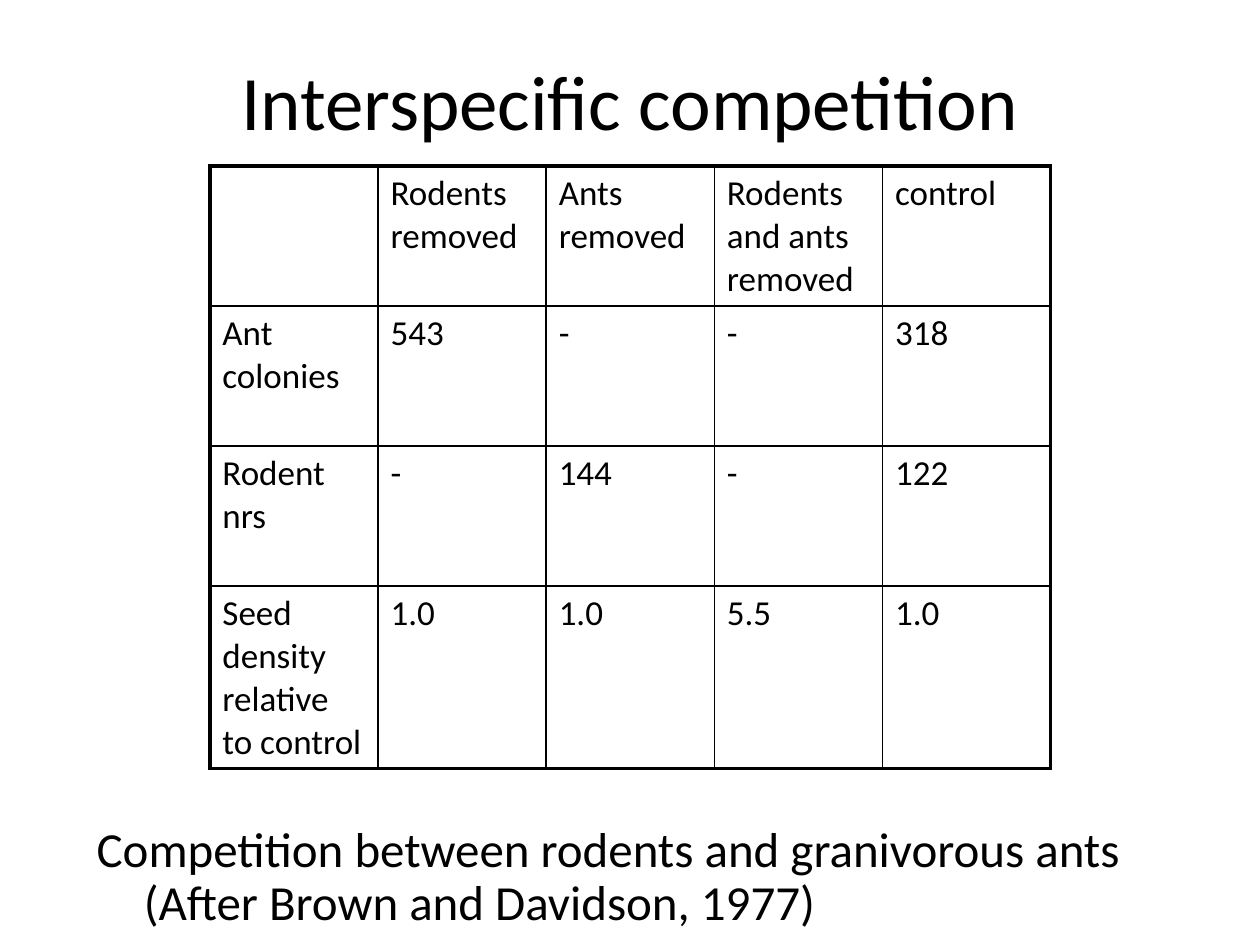
from lxml import etree
from pptx import Presentation
from pptx.dml.color import RGBColor
from pptx.enum import text
from pptx.oxml import ns
from pptx.util import Cm, Pt

BLACK = RGBColor(0, 0, 0)
WHITE = RGBColor(255, 255, 255)
FONT = "Calibri"
THIN, THICK = Pt(1), Pt(2.25)
COLUMN_WIDTH = Cm(3.39)
ROW_HEIGHTS = [Cm(2.82), Cm(2.82), Cm(2.82), Cm(3.68)]
ROWS = [
    ["", "Rodents removed", "Ants removed", "Rodents and ants removed", "control"],
    ["Ant colonies", "543", "-", "-", "318"],
    ["Rodent nrs", "-", "144", "-", "122"],
    ["Seed density relative to control", "1.0", "1.0", "5.5", "1.0"],
]


def add_span(para, words, size):
    span = para.add_run()
    span.text = words
    span.font.name = FONT
    span.font.size = Pt(size)
    span.font.color.rgb = BLACK


def add_text(page, words, size, left, top, width, height):
    box = page.shapes.add_textbox(left, top, width, height)
    box.text_frame.word_wrap = True
    para = box.text_frame.paragraphs[0]
    add_span(para, words, size)
    return box.text_frame, para


def add_title(page):
    frame, para = add_text(page, "Interspecific competition", 44,
                           Cm(1.9), Cm(0.43), Cm(21.6), Cm(3.18))
    frame.vertical_anchor = text.MSO_ANCHOR.MIDDLE
    para.alignment = text.PP_ALIGN.CENTER


def add_caption(page):
    words = "Competition between rodents and granivorous ants (After Brown and Davidson, 1977)"
    frame, para = add_text(page, words, 28, Cm(1.7), Cm(16.51), Cm(22.23), Cm(2.11))
    para.line_spacing = 0.9
    properties = para._p.get_or_add_pPr()
    properties.set("marL", str(Cm(0.95)))
    properties.set("indent", str(-Cm(0.95)))


def add_border(cell, side, width):
    line = etree.SubElement(cell._tc.get_or_add_tcPr(), ns.qn(f"a:ln{side}"), w=str(width))
    fill = etree.SubElement(line, ns.qn("a:solidFill"))
    etree.SubElement(fill, ns.qn("a:srgbClr"), val=str(BLACK))


def fill_cell(cell, words, outer_sides):
    for side in "LRTB":
        add_border(cell, side, THICK if side in outer_sides else THIN)
    cell.fill.solid()
    cell.fill.fore_color.rgb = WHITE
    if words:
        add_span(cell.text_frame.paragraphs[0], words, 20)


def add_results(page):
    row_count, column_count = len(ROWS), len(ROWS[0])
    table = page.shapes.add_table(row_count, column_count, Cm(4.23), Cm(3.35),
                                  COLUMN_WIDTH * column_count, sum(ROW_HEIGHTS)).table
    table.first_row = False
    table.horz_banding = False
    for column in table.columns:
        column.width = COLUMN_WIDTH
    for i, values in enumerate(ROWS):
        table.rows[i].height = ROW_HEIGHTS[i]
        for j, words in enumerate(values):
            edges = {"L": j == 0, "R": j == column_count - 1,
                     "T": i == 0, "B": i == row_count - 1}
            fill_cell(table.cell(i, j), words, [side for side in edges if edges[side]])


def main():
    deck = Presentation()
    deck.slide_width, deck.slide_height = Cm(25.4), Cm(19.05)
    page = deck.slides.add_slide(deck.slide_layouts[6])
    add_title(page)
    add_caption(page)
    add_results(page)
    deck.save("out.pptx")


if __name__ == "__main__":
    main()
